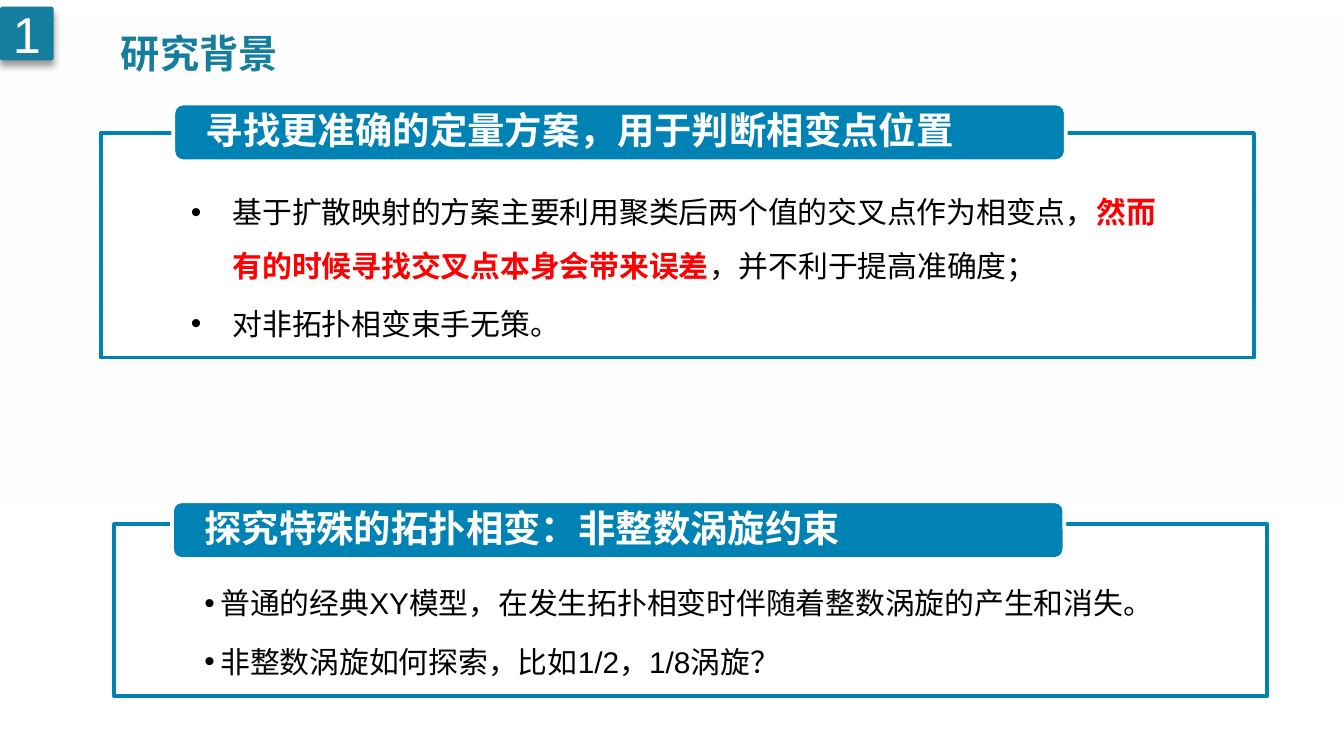
import lxml.etree
import pptx
import pptx.dml.color
import pptx.enum.shapes
import pptx.enum.text
import pptx.oxml.ns
import pptx.util

Inches, Pt = pptx.util.Inches, pptx.util.Pt
SHAPES = pptx.enum.shapes.MSO_SHAPE
ANCHOR = pptx.enum.text.MSO_ANCHOR
ALIGN = pptx.enum.text.PP_ALIGN

COLORS = {
    "white": "FFFFFF", "mist": "F2F2F2", "teal": "157E9F",
    "blue": "0083B4", "black": "000000", "red": "FF0000",
}
NUMBER = "1"
TITLE = "研究背景"
# Each list item is a sequence of (text, is_emphasised) pieces.
SECTIONS = [
    {
        "heading": "寻找更准确的定量方案，用于判断相变点位置",
        "items": [
            [("基于扩散映射的方案主要利用聚类后两个值的交叉点作为相变点，", False),
             ("然而有的时候寻找交叉点本身会带来误差", True),
             ("，并不利于提高准确度；", False)],
            [("对非拓扑相变束手无策。", False)],
        ],
        "panel": (0.75, 0.99, 8.58, 1.67), "banner": (1.29, 0.77), "indent": 0.31,
    },
    {
        "heading": "探究特殊的拓扑相变：非整数涡旋约束",
        "items": [
            [("普通的经典XY模型，在发生拓扑相变时伴随着整数涡旋的产生和消失。", False)],
            [("非整数涡旋如何探索，比如1/2，1/8涡旋？", False)],
        ],
        "panel": (0.85, 3.9, 8.58, 1.28), "banner": (1.28, 3.73), "indent": 0.12,
    },
]
BANNER_SIZE = (6.64, 0.43)


def rgb(name):
    return pptx.dml.color.RGBColor.from_string(COLORS[name])


def add_element(parent, tag, **attributes):
    return lxml.etree.SubElement(parent, pptx.oxml.ns.qn(tag), attributes)


def place(shape, left, top, width, height):
    shape.left, shape.top = Inches(left), Inches(top)
    shape.width, shape.height = Inches(width), Inches(height)


def paint(shape, fill, line=None):
    shape.fill.solid()
    shape.fill.fore_color.rgb = rgb(fill)
    if line:
        shape.line.color.rgb = rgb(line)
        shape.line.width = Pt(2)
    else:
        shape.line.fill.background()


def set_frame(shape, anchor, left, top, right, bottom):
    frame = shape.text_frame
    frame.word_wrap = True
    frame.auto_size = pptx.enum.text.MSO_AUTO_SIZE.NONE
    frame.vertical_anchor = anchor
    frame.margin_left, frame.margin_top = Inches(left), Inches(top)
    frame.margin_right, frame.margin_bottom = Inches(right), Inches(bottom)
    return frame


def style(para, size, color=None, bold=False, font="Arial", align=ALIGN.LEFT,
          spacing=1.0, after=0):
    para.alignment = align
    para.line_spacing = spacing
    para.space_before, para.space_after = Pt(0), Pt(after)
    para.font.name, para.font.size, para.font.bold = font, Pt(size), bold
    if color:
        para.font.color.rgb = rgb(color)


def add_bullet(para, indent):
    properties = para._p.get_or_add_pPr()
    properties.set("marL", str(Inches(indent)))
    properties.set("indent", str(-Inches(indent)))
    add_element(properties, "a:buFont", typeface="Arial")
    add_element(properties, "a:buChar", char="•")


def add_backdrop(slide, deck):
    backdrop = slide.shapes.add_shape(SHAPES.RECTANGLE, 0, 0, deck.slide_width, deck.slide_height)
    backdrop.shadow.inherit = False
    backdrop.line.fill.background()
    backdrop.fill.gradient()
    backdrop.fill.gradient_angle = 270
    stops = [("white", 0, "55000"), ("mist", 0.71, "0")]
    for stop, (color, position, alpha) in zip(backdrop.fill.gradient_stops, stops):
        stop.color.rgb = rgb(color)
        stop.position = position
        add_element(stop._gs[0], "a:alpha", val=alpha)
    slide.shapes._spTree.insert(2, backdrop._element)


def add_badge(slide):
    badge = slide.shapes.add_shape(SHAPES.ROUNDED_RECTANGLE, 0, Inches(0.05), Inches(0.4), Inches(0.4))
    badge.adjustments[0] = 0.05
    paint(badge, "teal")
    effects = add_element(badge._element.spPr, "a:effectLst")
    shadow = add_element(effects, "a:outerShdw", blurRad=str(Pt(4)), dist=str(Pt(3)),
                         dir="5400000", algn="t", rotWithShape="0")
    color = add_element(shadow, "a:srgbClr", val=COLORS["black"])
    add_element(color, "a:alpha", val="40000")
    para = set_frame(badge, ANCHOR.MIDDLE, 0.07, 0.04, 0.07, 0.04).paragraphs[0]
    para.text = NUMBER
    style(para, 27, "white", align=ALIGN.CENTER)


def fill_panel(panel, section):
    place(panel, *section["panel"])
    paint(panel, "white", "blue")
    frame = set_frame(panel, ANCHOR.TOP, 0.67, 0.32, 0.67, 0.09)
    for index, pieces in enumerate(section["items"]):
        para = frame.add_paragraph() if index else frame.paragraphs[0]
        para.level = 1
        add_bullet(para, section["indent"])
        style(para, 16, spacing=1.5, after=2.4)
        for text, emphasised in pieces:
            span = para.add_run()
            span.text = text
            span.font.bold = emphasised
            span.font.color.rgb = rgb("red" if emphasised else "black")


def add_banner(slide, section):
    left, top = section["banner"]
    width, height = BANNER_SIZE
    banner = slide.shapes.add_shape(SHAPES.ROUNDED_RECTANGLE, Inches(left), Inches(top),
                                    Inches(width), Inches(height))
    banner.shadow.inherit = False
    paint(banner, "blue", "white")
    para = set_frame(banner, ANCHOR.MIDDLE, 0.22, 0.02, 0.22, 0.02).paragraphs[0]
    para.text = section["heading"]
    style(para, 20, "white", bold=True, spacing=0.9, after=7)


def main():
    deck = pptx.Presentation()
    deck.slide_width = Inches(10)
    deck.slide_height = deck.slide_width * 9 // 16
    slide = deck.slides.add_slide(deck.slide_layouts.get_by_name("Two Content"))
    add_backdrop(slide, deck)
    add_badge(slide)

    title = slide.shapes.title
    place(title, 0.83, 0, 1.78, 0.6)
    para = set_frame(title, ANCHOR.TOP, 0.07, 0.04, 0.07, 0.04).paragraphs[0]
    para.text = TITLE
    style(para, 21, "teal", bold=True, font="Noto Sans CJK SC", spacing=1.5)

    for index, section in enumerate(SECTIONS, start=1):
        fill_panel(slide.placeholders[index], section)
        add_banner(slide, section)
    deck.save("out.pptx")


if __name__ == "__main__":
    main()
